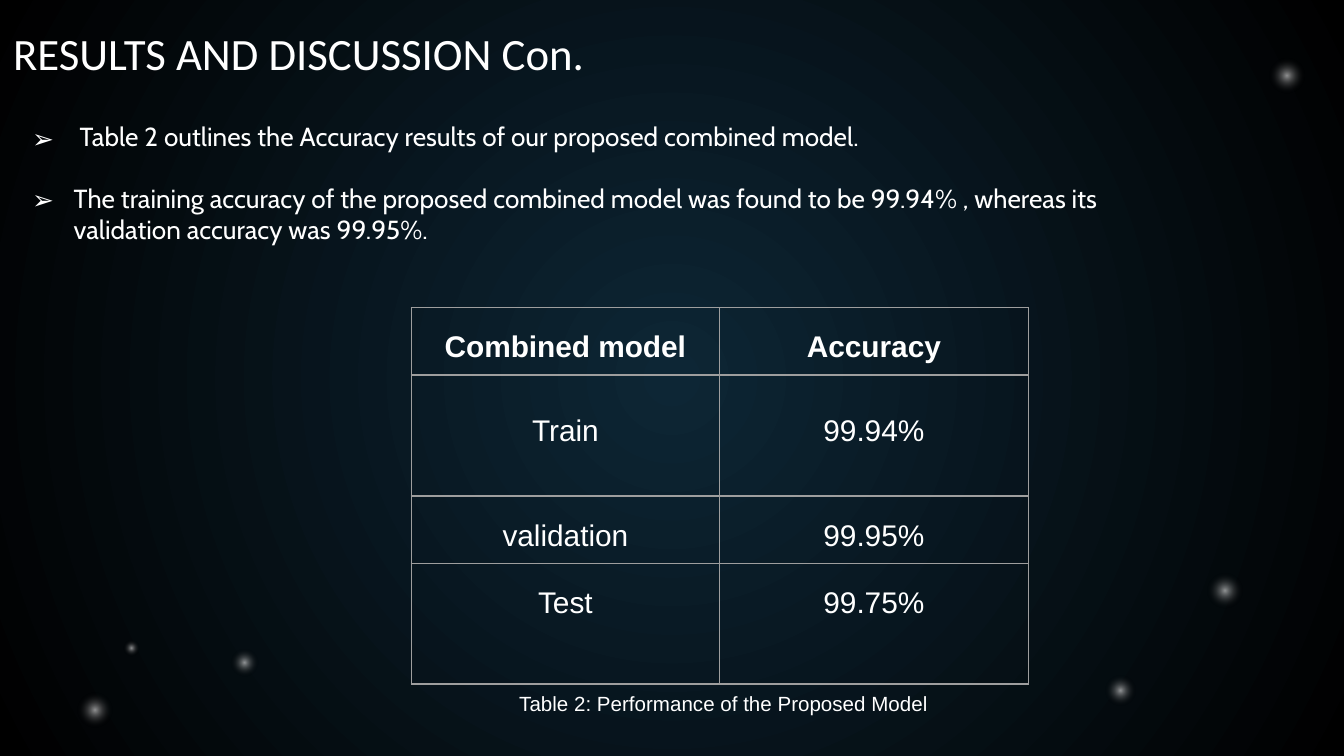
from lxml import etree
from pptx import Presentation, util as u
from pptx.dml.color import RGBColor
from pptx.enum import shapes, text
from pptx.oxml import ns

WHITE, GREY = "FFFFFF", "9E9E9E"
CENTER = text.PP_ALIGN.CENTER


def color(value):
    return RGBColor.from_string(value)


def add(parent, tag, **attrs):
    return etree.SubElement(parent, ns.qn(tag), attrs)


def write(p, words, font="Arial", size=16, bold=False, align=None,
          spacing=None, before=None):
    r = p.add_run()
    r.text = words
    r.font.name, r.font.size, r.font.bold = font, u.Pt(size), bold
    r.font.color.rgb = color(WHITE)
    p.alignment, p.line_spacing = align, spacing
    if before:
        p.space_before = u.Pt(before)


def radial(element, stops):
    """Turn the gradient fill in element into a circular one."""
    grad = element.find(".//" + ns.qn("a:gradFill"))
    for child in list(grad):
        grad.remove(child)
    stop_list = add(grad, "a:gsLst")
    for pos, value, alpha in stops:
        stop = add(stop_list, "a:gs", pos=str(pos * 1000))
        clr = add(stop, "a:srgbClr", val=value)
        if alpha < 100:
            add(clr, "a:alpha", val=str(alpha * 1000))
    circle = add(grad, "a:path", path="circle")
    add(circle, "a:fillToRect", **dict.fromkeys("ltrb", "50000"))


class Builder:
    GLOW = [(0, "FFFFFF", 57), (28, "000000", 0), (100, "000000", 0)]

    def __init__(self, s):
        self.s = s

    def background(self, inner, outer):
        self.s.background.fill.gradient()
        radial(self.s._element, [(0, inner, 100), (100, outer, 100)])

    def star(self, x, y, size, rotation):
        sp = self.s.shapes.add_shape(
            shapes.MSO_SHAPE.OVAL, *map(u.Inches, (x, y, size, size)))
        sp.rotation = rotation
        sp.shadow.inherit = False
        sp.line.fill.background()
        sp.fill.gradient()
        radial(sp._element, self.GLOW)

    def box(self, x, y, w, h, inset=0.05):
        sp = self.s.shapes.add_textbox(*map(u.Inches, (x, y, w, h)))
        tf = sp.text_frame
        tf.word_wrap = True
        tf.margin_top = tf.margin_bottom = u.Inches(inset)
        return tf

    def label(self, words, *at, inset=0.05, **style):
        tf = self.box(*at, inset=inset)
        tf.vertical_anchor = text.MSO_ANCHOR.MIDDLE
        write(tf.paragraphs[0], words, **style)

    def bullets(self, items, *at, gap, **style):
        tf = self.box(*at)
        for i, words in enumerate(items):
            p = tf.add_paragraph() if i else tf.paragraphs[0]
            pPr = p._p.get_or_add_pPr()
            pPr.set("marL", str(u.Inches(0.31)))
            pPr.set("indent", str(u.Inches(-0.31)))
            add(add(pPr, "a:buClr"), "a:srgbClr", val=WHITE)
            add(pPr, "a:buFont", typeface="Noto Sans Symbols")
            add(pPr, "a:buChar", char="➢")
            write(p, words, before=gap if i else None, **style)

    def table(self, rows, x, y, w, heights, spacings):
        frame = self.s.shapes.add_table(
            len(rows), len(rows[0]), *map(u.Inches, (x, y, w, sum(heights))))
        tbl = frame.table
        tbl.first_row = tbl.horz_banding = False
        for i, row in enumerate(rows):
            tbl.rows[i].height = u.Inches(heights[i])
            for j, words in enumerate(row):
                cell = tbl.cell(i, j)
                write(cell.text_frame.paragraphs[0], words, bold=i == 0,
                      align=CENTER, spacing=spacings[i])
                self.borders(cell)
                cell.fill.background()

    def borders(self, cell):
        tcPr = cell._tc.get_or_add_tcPr()
        for side in "LRTB":
            ln = add(tcPr, "a:ln" + side, w=str(u.Pt(0.75)))
            add(add(ln, "a:solidFill"), "a:srgbClr", val=GREY)


def main():
    prs = Presentation()
    prs.slide_width = u.Inches(10)
    prs.slide_height = prs.slide_width * 9 // 16
    b = Builder(prs.slides.add_slide(prs.slide_layouts[6]))

    # Night sky
    b.background("0D2635", "000000")
    left_stars = [(0.38, 4.95, 0.66), (0.83, 4.67, 0.3), (1.56, 4.67, 0.52)]
    right_stars = [(8.78, 4.06, 0.67), (8.05, 4.85, 0.58), (9.24, 0.23, 0.67)]
    for rotation, stars in ((270, left_stars), (90, right_stars)):
        for star in stars:
            b.star(*star, rotation)

    # Title and findings
    b.label("RESULTS AND DISCUSSION Con.", 0, 0.08, 8.44, 0.63,
            inset=0.1, font="Calibri", size=24)
    b.bullets([
        " Table 2 outlines the Accuracy results of our proposed combined model.",
        "The training accuracy of the proposed combined model was found to be "
        "99.94% , whereas its validation accuracy was 99.95%.",
    ], 0.14, 0.85, 8.59, 1.04, gap=16, font="Cabin", size=14)

    # Accuracy table and caption
    b.table([("Combined model", "Accuracy"), ("Train", "99.94%"),
             ("validation", "99.95%"), ("Test", "99.75%")],
            3.06, 2.29, 4.59, heights=[0.5, 0.9, 0.5, 0.9],
            spacings=[1.5, 2.0, 1.5, 1.5])
    b.label("Table 2: Performance of the Proposed Model",
            3.06, 5.09, 4.65, 0.29, size=11, align=CENTER)

    prs.save("out.pptx")


if __name__ == "__main__":
    main()
